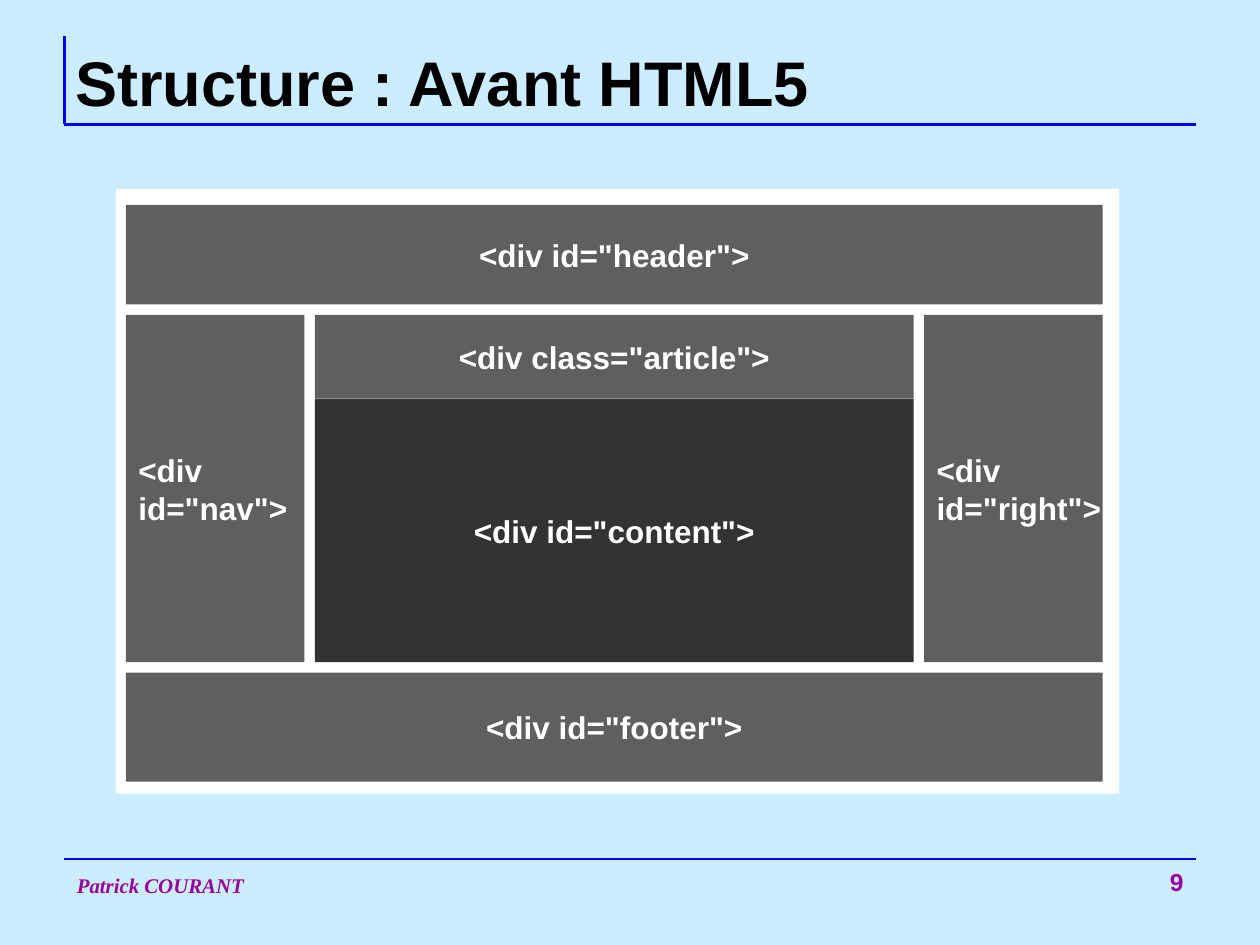
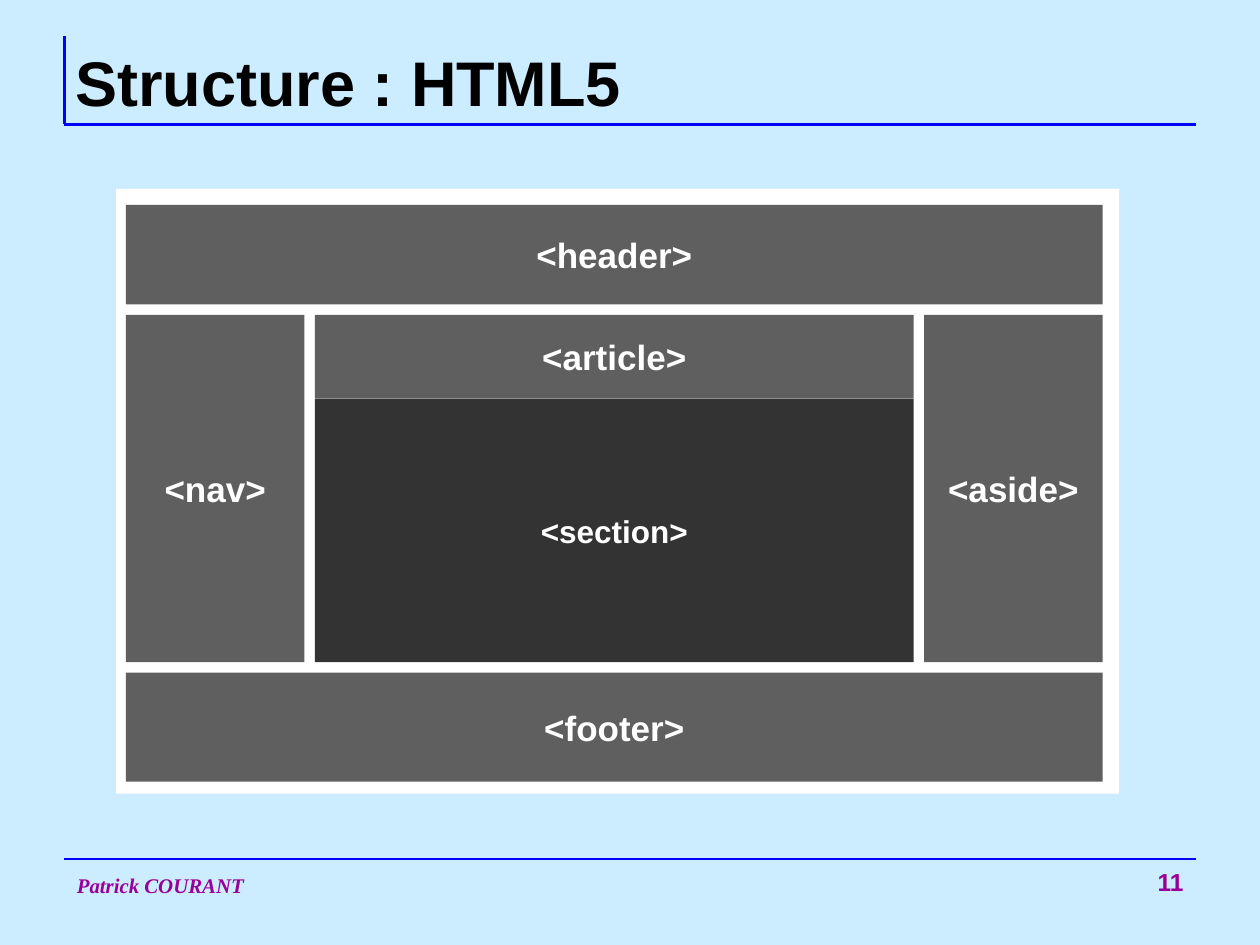
import pptx
import pptx.util
import pptx.dml.color
import pptx.enum.shapes
import pptx.enum.text
import pptx.oxml.ns
from lxml import etree

Cm, Pt = pptx.util.Cm, pptx.util.Pt
RGBColor = pptx.dml.color.RGBColor
ALIGN = pptx.enum.text.PP_ALIGN
ANCHOR = pptx.enum.text.MSO_ANCHOR

SKY = RGBColor(0xCC, 0xEC, 0xFF)
BLUE = RGBColor(0x00, 0x00, 0xFF)
PURPLE = RGBColor(0x99, 0x00, 0x99)
BLACK = RGBColor(0x00, 0x00, 0x00)
WHITE = RGBColor(0xFF, 0xFF, 0xFF)
GREY = RGBColor(0x5F, 0x5F, 0x5F)
DARK = RGBColor(0x33, 0x33, 0x33)

# Boxes are left, top, width, height in centimetres
TITLE_BOX = (1.27, 0.76, 22.86, 1.75)
FOOTER_BOX = (1.3, 17.32, 22.81, 1.35)
PAGE_BOX = (2.34, 3.81, 20.22, 12.19)

# In block texts, \n starts a paragraph and \v breaks a line
SLIDES = [
    ("Structure : Avant HTML5", "9", {
        "header": ('<div id="header">', 18, ALIGN.CENTER),
        "footer": ('<div id="footer">', 18, ALIGN.CENTER),
        "content": ('<div id="content">', 18, ALIGN.CENTER),
        "nav": ('<div\nid="nav">', 18, ALIGN.LEFT),
        "right": ('<div\vid="right">', 18, ALIGN.LEFT),
        "article": ('<div class="article">', 18, ALIGN.CENTER),
    }),
    ("Structure : HTML5", "11", {
        "header": ("<header>", 20, ALIGN.CENTER),
        "footer": ("<footer>", 20, ALIGN.CENTER),
        "content": ("<section>", 18, ALIGN.CENTER),
        "nav": ("<nav>", 20, ALIGN.CENTER),
        "right": ("<aside>", 20, ALIGN.CENTER),
        "article": ("<article>", 20, ALIGN.CENTER),
    }),
]


def write(frame, text, size, color, align=ALIGN.LEFT, font="Arial",
          anchor=ANCHOR.MIDDLE, wrap=True, italic=False, spacing=None):
    frame.word_wrap = wrap
    frame.vertical_anchor = anchor
    for number, words in enumerate(text.split("\n")):
        paragraph = frame.add_paragraph() if number else frame.paragraphs[0]
        paragraph.alignment = align
        paragraph.line_spacing = spacing
        for position, piece in enumerate(words.split("\v")):
            if position:
                paragraph.add_line_break()
            run = paragraph.add_run()
            run.text = piece
            run.font.name = font
            run.font.size = Pt(size)
            run.font.bold = True
            run.font.italic = italic
            run.font.color.rgb = color


def add_label(slide, box, *args, **style):
    label = slide.shapes.add_textbox(*map(Cm, box))
    write(label.text_frame, *args, **style)


def add_rule(slide, x1, y1, x2, y2):
    rule = slide.shapes.add_connector(
        pptx.enum.shapes.MSO_CONNECTOR.STRAIGHT, Cm(x1), Cm(y1), Cm(x2), Cm(y2))
    rule.line.color.rgb = BLUE
    rule.line.width = Pt(1.25)
    etree.SubElement(rule._element.spPr, pptx.oxml.ns.qn("a:effectLst"))


def add_block(slide, box, fill, label=None):
    block = slide.shapes.add_shape(
        pptx.enum.shapes.MSO_SHAPE.RECTANGLE, *map(Cm, box))
    block.shadow.inherit = False
    block.fill.solid()
    block.fill.fore_color.rgb = fill
    block.line.fill.background()
    if label:
        text, size, align = label
        write(block.text_frame, text, size, WHITE, align, wrap=False)


def add_title(slide, box, title):
    left, top, width, height = box
    corner, base = left + 0.03, top + height
    add_rule(slide, corner, base, left + width - 0.03, base)
    add_rule(slide, corner, base, corner, top - 0.04)
    add_label(slide, box, title, 36, BLACK)


def add_footer(slide, box, number):
    left, top, width, height = box
    add_rule(slide, left, top, left + width, top)
    add_label(slide, (left, top + 0.2, 15.44, 0.79), "Patrick COURANT", 11.9,
              PURPLE, font="Times New Roman", anchor=ANCHOR.TOP,
              italic=True, spacing=0.9)
    number_width = 5.92
    add_label(slide, (left + width - number_width, top + 0.03, number_width, height - 0.03),
              number, 14, PURPLE, ALIGN.RIGHT, anchor=ANCHOR.TOP)


def add_page_layout(slide, box, labels):
    add_block(slide, box, WHITE)
    gap, side, middle = 0.21, 3.6, 12.07
    header_height, body_height, footer_height, article_height = 2.01, 7, 2.2, 1.69

    # Three columns, three rows
    nav_left, header_top = box[0] + 0.2, box[1] + 0.32
    middle_left = nav_left + side + gap
    right_left = middle_left + middle + gap
    full = right_left + side - nav_left
    body_top = header_top + header_height + gap
    footer_top = body_top + body_height + gap

    places = {
        "header": (nav_left, header_top, full, header_height),
        "footer": (nav_left, footer_top, full, footer_height),
        "content": (middle_left, body_top + article_height,
                    middle, body_height - article_height),
        "nav": (nav_left, body_top, side, body_height),
        "right": (right_left, body_top, side, body_height),
        "article": (middle_left, body_top, middle, article_height),
    }
    for part, place in places.items():
        add_block(slide, place, DARK if part == "content" else GREY, labels[part])


def main():
    deck = pptx.Presentation()
    deck.slide_width, deck.slide_height = Cm(25.4), Cm(19.05)
    for title, number, labels in SLIDES:
        slide = deck.slides.add_slide(deck.slide_layouts[6])
        slide.background.fill.solid()
        slide.background.fill.fore_color.rgb = SKY
        add_title(slide, TITLE_BOX, title)
        add_footer(slide, FOOTER_BOX, number)
        add_page_layout(slide, PAGE_BOX, labels)
    deck.save("out.pptx")


if __name__ == "__main__":
    main()
